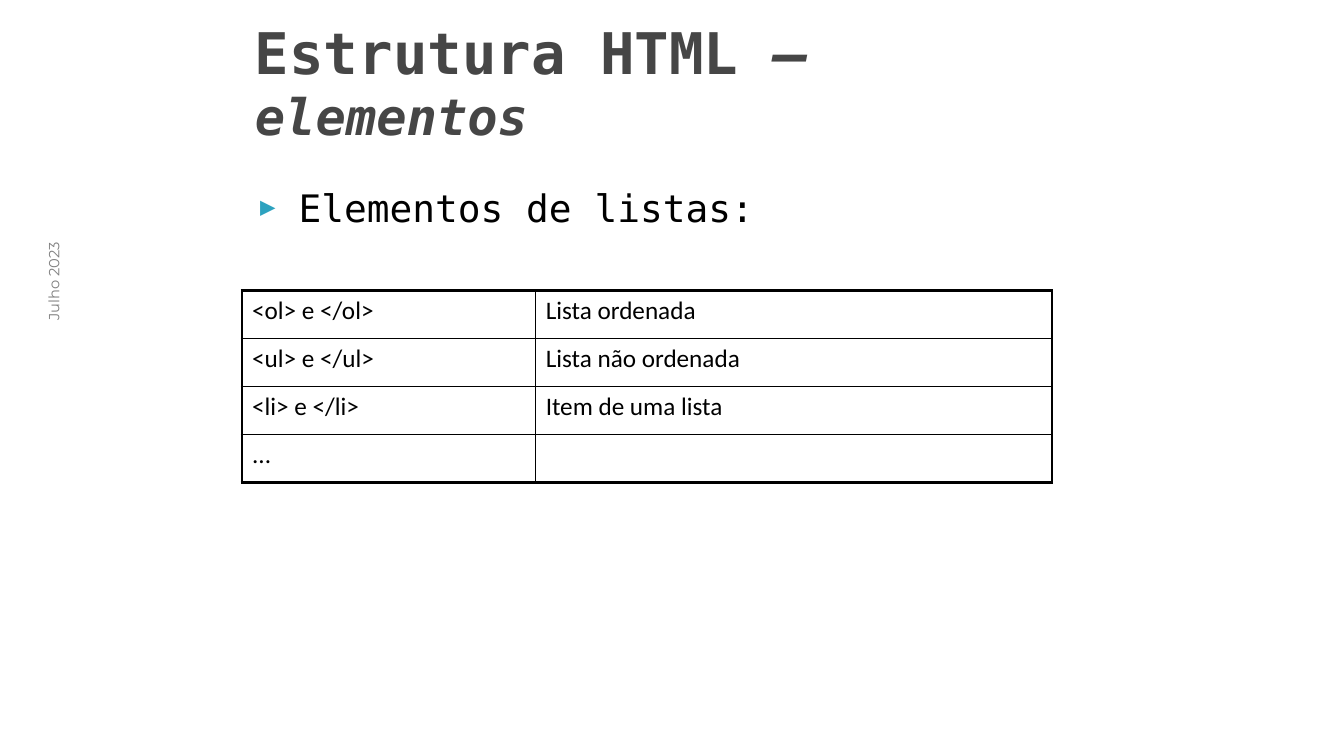
from dataclasses import dataclass

from lxml import etree
from pptx import Presentation
from pptx.dml.color import RGBColor
from pptx.enum import text as t
from pptx.oxml import ns
from pptx.util import Cm, Pt


@dataclass(frozen=True)
class Theme:
    heading: str = "464646"
    ink: str = "000000"
    muted: str = "808080"
    accent: str = "2DA2BF"
    mono: str = "DejaVu Sans Mono"
    table: str = "Calibri"
    date: str = "Montserrat"
    title_size: float = 41
    subtitle_size: float = 36
    bullet_size: float = 27
    table_size: float = 18
    date_size: float = 10.5
    outer_border: float = 2.25
    inner_border: float = 1


THEME = Theme()

LIST_ELEMENTS = [
    ("<ol> e </ol>", "Lista ordenada"),
    ("<ul> e </ul>", "Lista não ordenada"),
    ("<li> e </li>", "Item de uma lista"),
    ("...", ""),
]


def place(shape, box):
    shape.left, shape.top, shape.width, shape.height = (Cm(v) for v in box)


def add_run(paragraph, wording, font, size, color, bold=None, italic=None):
    run = paragraph.add_run()
    run.text = wording
    run.font.name = font
    run.font.size = Pt(size)
    run.font.color.rgb = RGBColor.from_string(color)
    run.font.bold = bold
    run.font.italic = italic


def add_child(parent, tag, **attributes):
    child = etree.SubElement(parent, ns.qn(tag))
    for name, value in attributes.items():
        child.set(name, str(value))
    return child


def fill_title(title, box):
    place(title, box)
    frame = title.text_frame
    frame.auto_size = t.MSO_AUTO_SIZE.NONE
    frame.vertical_anchor = t.MSO_ANCHOR.MIDDLE
    heading = frame.paragraphs[0]
    heading.alignment = t.PP_ALIGN.LEFT
    for wording, size, italic in [
        ("Estrutura HTML", THEME.title_size, False),
        (" – ", THEME.title_size, True),
        ("elementos", THEME.subtitle_size, True),
    ]:
        add_run(heading, wording, THEME.mono, size, THEME.heading, True, italic)


def fill_body(body, box):
    place(body, box)
    body.text_frame.auto_size = t.MSO_AUTO_SIZE.NONE
    topic = body.text_frame.paragraphs[0]
    topic.space_before = Pt(4)
    add_run(topic, "Elementos de listas:", THEME.mono, THEME.bullet_size, THEME.ink)
    properties = topic._p.get_or_add_pPr()
    indent = Cm(0.97)
    properties.set("marL", str(indent))
    properties.set("indent", str(-indent))
    bullet_color = add_child(properties, "a:buClr")
    add_child(bullet_color, "a:srgbClr", val=THEME.accent)
    add_child(properties, "a:buSzPct", val=68000)
    add_child(properties, "a:buFont", typeface=THEME.mono)
    add_child(properties, "a:buChar", char="▶")


def add_date(slide, box):
    date = slide.shapes.add_textbox(*(Cm(v) for v in box))
    date.rotation = 270
    date.text_frame.word_wrap = True
    month = date.text_frame.paragraphs[0]
    month.alignment = t.PP_ALIGN.RIGHT
    month.line_spacing = 0.9
    month.space_before = Pt(10)
    add_run(month, "Julho 2023", THEME.date, THEME.date_size, THEME.muted)


def set_borders(cell, outer_sides):
    """Draw all four sides, heavier where the side is on the table's edge."""
    properties = cell._tc.get_or_add_tcPr()
    for side, is_outer in outer_sides.items():
        width = THEME.outer_border if is_outer else THEME.inner_border
        line = add_child(properties, f"a:ln{side}", w=Pt(width))
        line_fill = add_child(line, "a:solidFill")
        add_child(line_fill, "a:srgbClr", val=THEME.ink)


def add_elements_table(slide, box, rows, column_widths):
    frame = slide.shapes.add_table(
        len(rows), len(column_widths), *(Cm(v) for v in box))
    elements = frame.table
    elements.first_row = elements.horz_banding = False
    for column, width in zip(elements.columns, column_widths):
        column.width = Cm(width)
    last_row, last_column = len(rows) - 1, len(column_widths) - 1
    for r, row in enumerate(rows):
        elements.rows[r].height = Cm(box[3] / len(rows))
        for c, wording in enumerate(row):
            cell = elements.cell(r, c)
            set_borders(cell, {"L": c == 0, "R": c == last_column,
                               "T": r == 0, "B": r == last_row})
            cell.fill.background()
            if wording:
                entry = cell.text_frame.paragraphs[0]
                entry.space_before = Pt(0.2 * THEME.table_size)
                add_run(entry, wording, THEME.table, THEME.table_size, THEME.ink)


def main():
    deck = Presentation()
    deck.slide_width, deck.slide_height = Cm(33.87), Cm(19.05)
    slide = deck.slides.add_slide(deck.slide_layouts[1])
    add_date(slide, (-0.53, 7.44, 3.81, 0.64))
    fill_title(slide.shapes.title, (6.17, 0.08, 20.7, 3.94))
    fill_body(slide.placeholders[1], (6.3, 4.52, 21.29, 1.8))
    add_elements_table(slide, (6.1, 7.32, 20.41, 4.84), LIST_ELEMENTS, (7.4, 13.01))
    deck.save("out.pptx")


if __name__ == "__main__":
    main()
